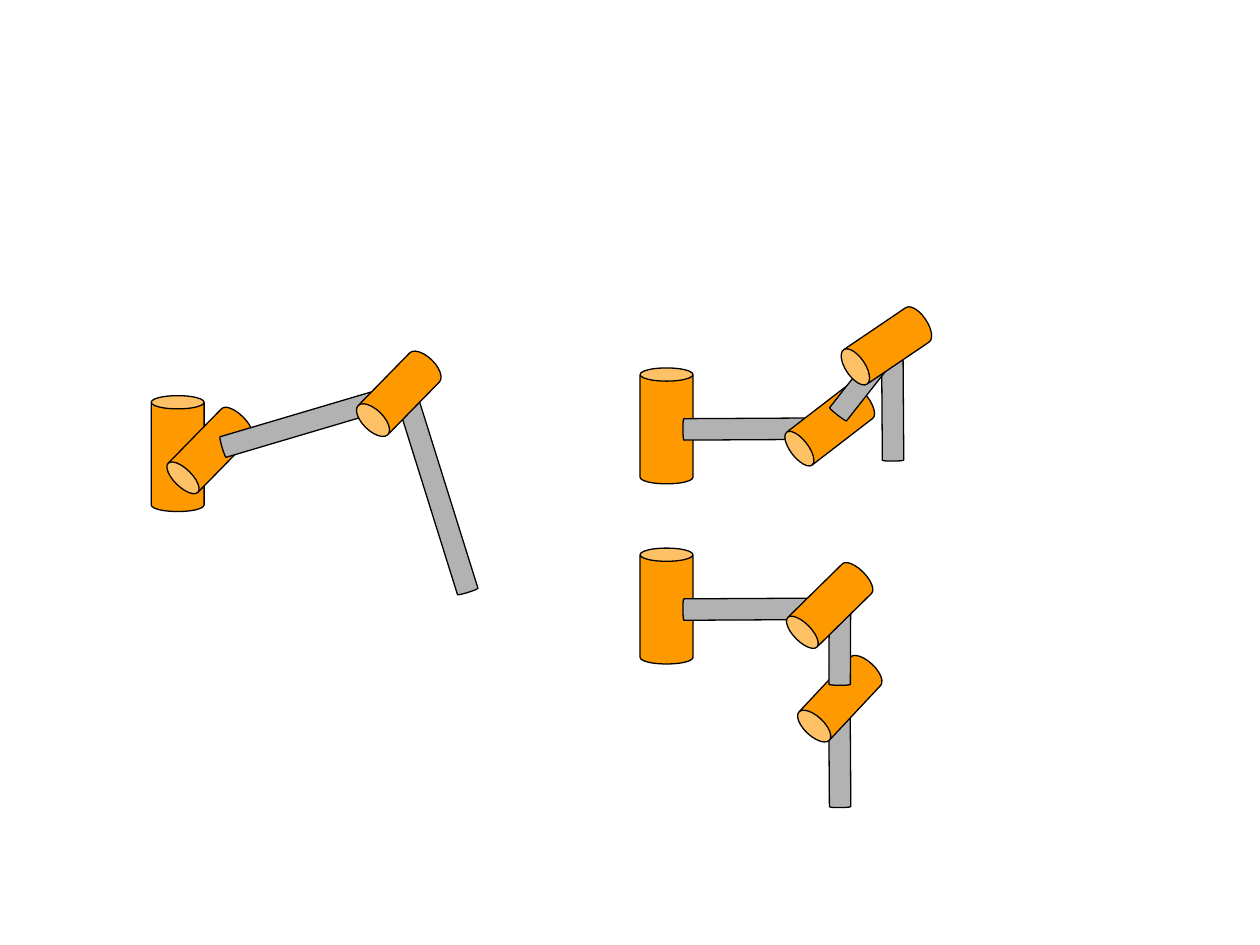
from pptx import Presentation
from pptx.dml.color import RGBColor
from pptx.enum.shapes import MSO_SHAPE
from pptx.util import Inches, Pt

# Part kinds: width, fill
KINDS = {
    "base": (0.42, "FF9900"),
    "joint": (0.33, "FF9900"),
    "link": (0.17, "B2B2B2"),
}
BASE_LENGTH, BASE_CAP = 0.92, 0.25
JOINT_LENGTH = 0.75
LINK_CAP = 0.09

# Each arm, back to front: kind, left, top, length, rotation, cap ratio
ARMS = {
    "vertical shoulder": [
        ("link", 3.38, 3.07, 1.67, 342.6, LINK_CAP),
        ("base", 1.2, 3.14, BASE_LENGTH, 0, BASE_CAP),
        ("joint", 1.5, 3.2, JOINT_LENGTH, 224.4, 0.43),
        ("link", 2.32, 2.69, 1.34, 73.5, LINK_CAP),
        ("joint", 3, 2.75, JOINT_LENGTH, 224.4, 0.5),
    ],
    "raised elbow": [
        ("link", 7, 2.83, 0.83, 359.6, LINK_CAP),
        ("base", 5.08, 2.92, BASE_LENGTH, 0, BASE_CAP),
        ("link", 5.92, 2.82, 1.17, 89.7, LINK_CAP),
        ("joint", 6.42, 3, JOINT_LENGTH, 232.4, 0.43),
        ("link", 6.75, 2.75, 0.61, 38.2, LINK_CAP),
        ("joint", 6.87, 2.37, JOINT_LENGTH, 235.9, 0.47),
    ],
    "hanging elbow": [
        ("link", 6.58, 5.58, 0.83, 359.6, LINK_CAP),
        ("joint", 6.5, 5.17, JOINT_LENGTH, 223.1, 0.47),
        ("base", 5.08, 4.35, BASE_LENGTH, 0, BASE_CAP),
        ("link", 5.92, 4.25, 1.17, 89.7, LINK_CAP),
        ("link", 6.58, 4.83, 0.61, 0.2, LINK_CAP),
        ("joint", 6.42, 4.43, JOINT_LENGTH, 225.5, 0.43),
    ],
}


def color(hex_value):
    return RGBColor.from_string(hex_value)


def add_part(slide, kind, left, top, length, rotation, cap):
    width, fill = KINDS[kind]
    part = slide.shapes.add_shape(
        MSO_SHAPE.CAN, Inches(left), Inches(top), Inches(width), Inches(length))
    part.adjustments[0] = cap
    part.rotation = rotation
    part.shadow.inherit = False
    part.fill.solid()
    part.fill.fore_color.rgb = color(fill)
    part.line.color.rgb = color("000000")
    part.line.width = Pt(0.75)


def main():
    presentation = Presentation()
    presentation.slide_width, presentation.slide_height = Inches(10), Inches(7.5)
    slide = presentation.slides.add_slide(presentation.slide_layouts[6])

    # Robot arms
    for parts in ARMS.values():
        for part in parts:
            add_part(slide, *part)

    presentation.save("out.pptx")


if __name__ == "__main__":
    main()
